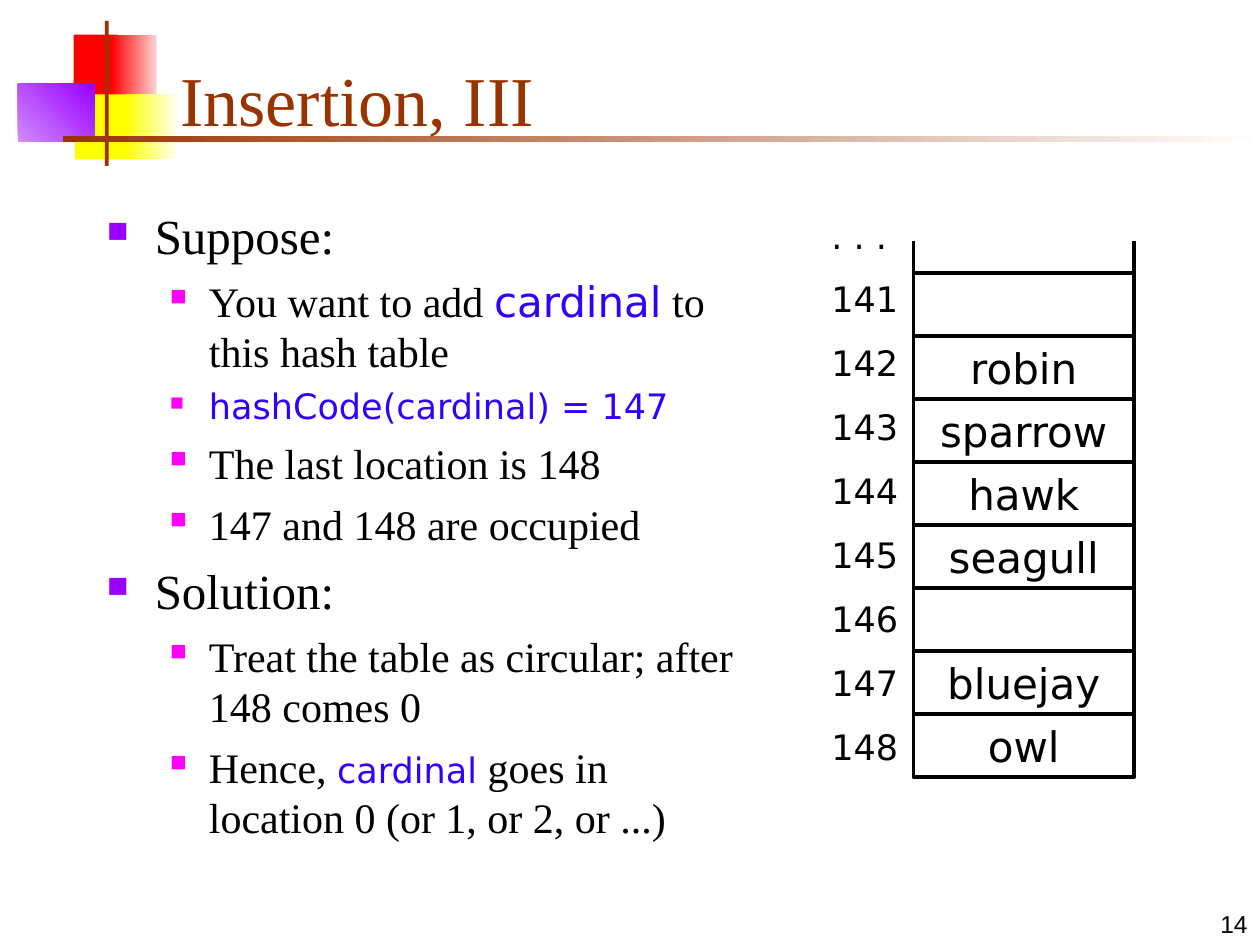
import pptx
import pptx.util
import pptx.dml.color
import pptx.enum.shapes
import pptx.enum.text
import lxml.etree

COLORS = {
    "ink": "000000", "brown": "993300", "code": "3300FF", "white": "FFFFFF",
    "red": "FF0000", "pink": "FFD1D1", "yellow": "FFFF00", "cream": "FFFFF0",
    "violet": "9900FF", "lilac": "D18BFF", "magenta": "FF00FF",
}
SERIF, SANS, NUMBER = "Times New Roman", "DejaVu Sans", "Arial"
SLIDE_WIDTH, SLIDE_HEIGHT = pptx.util.Inches(10), pptx.util.Inches(7.5)
COLUMNS, ROWS = 120, 90
SHAPE = pptx.enum.shapes.MSO_SHAPE
ALIGN = pptx.enum.text.PP_ALIGN
ANCHOR = pptx.enum.text.MSO_ANCHOR

TOPICS = [
    ("Suppose:", [
        (24, [("You want to add ", None), ("cardinal", 24), (" to this hash table", None)]),
        (20, [("hashCode(cardinal) = 147", 20)]),
        (24, [("The last location is 148", None)]),
        (24, [("147 and 148 are occupied", None)]),
    ]),
    ("Solution:", [
        (24, [("Treat the table as circular; after 148 comes 0", None)]),
        (24, [("Hence, ", None), ("cardinal", 20),
              (" goes in location 0 (or 1, or 2, or ...)", None)]),
    ]),
]
FIRST_INDEX = 141
BIRDS = ["", "robin", "sparrow", "hawk", "seagull", "", "bluejay", "owl"]


def place(left, top, width, height):
    """Turn grid columns and rows into slide lengths."""
    column, row = SLIDE_WIDTH / COLUMNS, SLIDE_HEIGHT / ROWS
    return [round(n) for n in (left * column, top * row, width * column, height * row)]


def rgb(name):
    """Look up a named colour."""
    return pptx.dml.color.RGBColor.from_string(COLORS[name])


def style(font, face, size, color):
    """Set face, size and colour of a font."""
    font.name, font.size = face, pptx.util.Pt(size)
    font.color.rgb = rgb(color)


def add_frame(shapes, box, anchor=ANCHOR.TOP):
    """Add a wrapping text box and return its frame."""
    frame = shapes.add_textbox(*place(*box)).text_frame
    frame.word_wrap = True
    frame.vertical_anchor = anchor
    return frame


def add_line(shapes, box, text, face, size, color, align):
    """Add one line of text that stands on the bottom of its box."""
    line = add_frame(shapes, box, ANCHOR.BOTTOM).paragraphs[0]
    line.text, line.alignment = text, align
    style(line.font, face, size, color)


def add_emblem(shapes, box):
    """Draw the coloured blocks and the two rules that cross them."""
    left, top, width, height = box
    parts = [
        (5.3, 1.3, 4.2, 6.2, "red", None, 0),
        (8.9, 1.3, 4.3, 6.2, "red", "pink", 0),
        (5.4, 7, 5.5, 6.2, "yellow", None, 0),
        (10.3, 7, 4.8, 6.2, "yellow", "cream", 0),
        (0, 6, 7.3, 5.5, "lilac", "violet", 45),
        (8.3, 0, 0.36, height, "brown", None, 0),
        (4.3, 10.95, width - 4.3, 0.6, "brown", "white", 0),
    ]
    for x, y, wide, high, start, end, angle in parts:
        block = shapes.add_shape(SHAPE.RECTANGLE, *place(left + x, top + y, wide, high))
        block.shadow.inherit = False
        block.line.fill.background()
        if end is None:
            block.fill.solid()
            block.fill.fore_color.rgb = rgb(start)
            continue
        block.fill.gradient()
        block.fill.gradient_angle = angle
        for stop, color in zip(block.fill.gradient_stops, (start, end)):
            stop.color.rgb = rgb(color)


def add_bullet(paragraph, color, percent, margin, hanging):
    """Give a paragraph a square bullet and a hanging indent."""
    properties = paragraph._p.get_or_add_pPr()
    properties.set("marL", str(pptx.util.Inches(margin)))
    properties.set("indent", str(-pptx.util.Inches(hanging)))
    tag = pptx.oxml.ns.qn
    tint = lxml.etree.SubElement(properties, tag("a:buClr"))
    lxml.etree.SubElement(tint, tag("a:srgbClr")).set("val", COLORS[color])
    lxml.etree.SubElement(properties, tag("a:buSzPct")).set("val", str(percent * 1000))
    lxml.etree.SubElement(properties, tag("a:buChar")).set("char", "■")


def add_topics(shapes, box):
    """Write the two topics and their points."""
    frame = add_frame(shapes, box)
    for number, (heading, points) in enumerate(TOPICS):
        topic = frame.add_paragraph() if number else frame.paragraphs[0]
        topic.text = heading
        add_bullet(topic, "violet", 60, 0.38, 0.38)
        style(topic.font, SERIF, 28, "ink")
        if number:
            topic.space_before = pptx.util.Pt(7)
        for size, pieces in points:
            point = frame.add_paragraph()
            add_bullet(point, "magenta", 55, 0.81, 0.31)
            point.space_before = pptx.util.Pt(size / 4)
            if len(pieces) == 1:
                words, code_size = pieces[0]
                point.text = words
                face, color = (SANS, "code") if code_size else (SERIF, "ink")
                style(point.font, face, size, color)
                continue
            for words, code_size in pieces:
                run = point.add_run()
                run.text = words
                face, color = (SANS, "code") if code_size else (SERIF, "ink")
                style(run.font, face, code_size or size, color)


def add_slot(shapes, box, bird):
    """Draw one slot of the hash table with the bird it holds."""
    slot = shapes.add_shape(SHAPE.FLOWCHART_PROCESS, *place(*box))
    slot.shadow.inherit = False
    slot.fill.background()
    slot.line.color.rgb = rgb("ink")
    slot.line.width = pptx.util.Pt(2.25)
    if bird:
        frame = slot.text_frame
        frame.word_wrap = False
        frame.vertical_anchor = ANCHOR.MIDDLE
        name = frame.paragraphs[0]
        name.text, name.alignment = bird, ALIGN.CENTER
        style(name.font, SANS, 24, "ink")


def add_post(shapes, x, top, bottom):
    """Draw one upright edge of the hash table."""
    start_x, start_y, _, _ = place(x, bottom, 0, 0)
    end_x, end_y, _, _ = place(x, top, 0, 0)
    post = shapes.add_connector(
        pptx.enum.shapes.MSO_CONNECTOR.STRAIGHT, start_x, start_y, end_x, end_y)
    post.line.color.rgb = rgb("ink")
    post.line.width = pptx.util.Pt(2.25)
    lxml.etree.SubElement(post._element.spPr, pptx.oxml.ns.qn("a:effectLst"))


def add_hash_table(shapes, box):
    """Build the hash table: index column, slots and open top."""
    left, top, width, height = box
    table = shapes.add_group_shape().shapes
    index_width, slot_height = width * 0.3, 6
    slot_left, bottom = left + index_width, top + height
    slots_top = bottom - slot_height * len(BIRDS)
    for row, bird in enumerate(BIRDS):
        slot_box = (slot_left, slots_top + row * slot_height, width - index_width, slot_height)
        add_slot(table, slot_box, bird)
    frame = add_frame(table, (left, top, index_width, 60))
    labels = [". . ."] + [str(FIRST_INDEX + row) for row in range(len(BIRDS))]
    for row, label in enumerate(labels):
        index = frame.add_paragraph() if row else frame.paragraphs[0]
        index.text = label
        style(index.font, SANS, 20, "ink")
        if row:
            index.space_before = pptx.util.Pt(12.5)
    for x in (slot_left, left + width):
        add_post(table, x, slots_top - slot_height / 2, bottom)


def main():
    """Build and save the slide."""
    deck = pptx.Presentation()
    deck.slide_width, deck.slide_height = SLIDE_WIDTH, SLIDE_HEIGHT
    shapes = deck.slides.add_slide(deck.slide_layouts[6]).shapes
    add_emblem(shapes, (1.7, 2, 118.3, 13.8))
    add_line(shapes, (95, 84, 25, 6), "14", NUMBER, 14, "ink", ALIGN.RIGHT)
    add_line(shapes, (16, 3, 102.2, 11), "Insertion, III", SERIF, 40, "brown", ALIGN.LEFT)
    add_topics(shapes, (9, 19, 63, 65))
    add_hash_table(shapes, (78, 19.8, 30, 54.2))
    deck.save("out.pptx")


if __name__ == "__main__":
    main()
